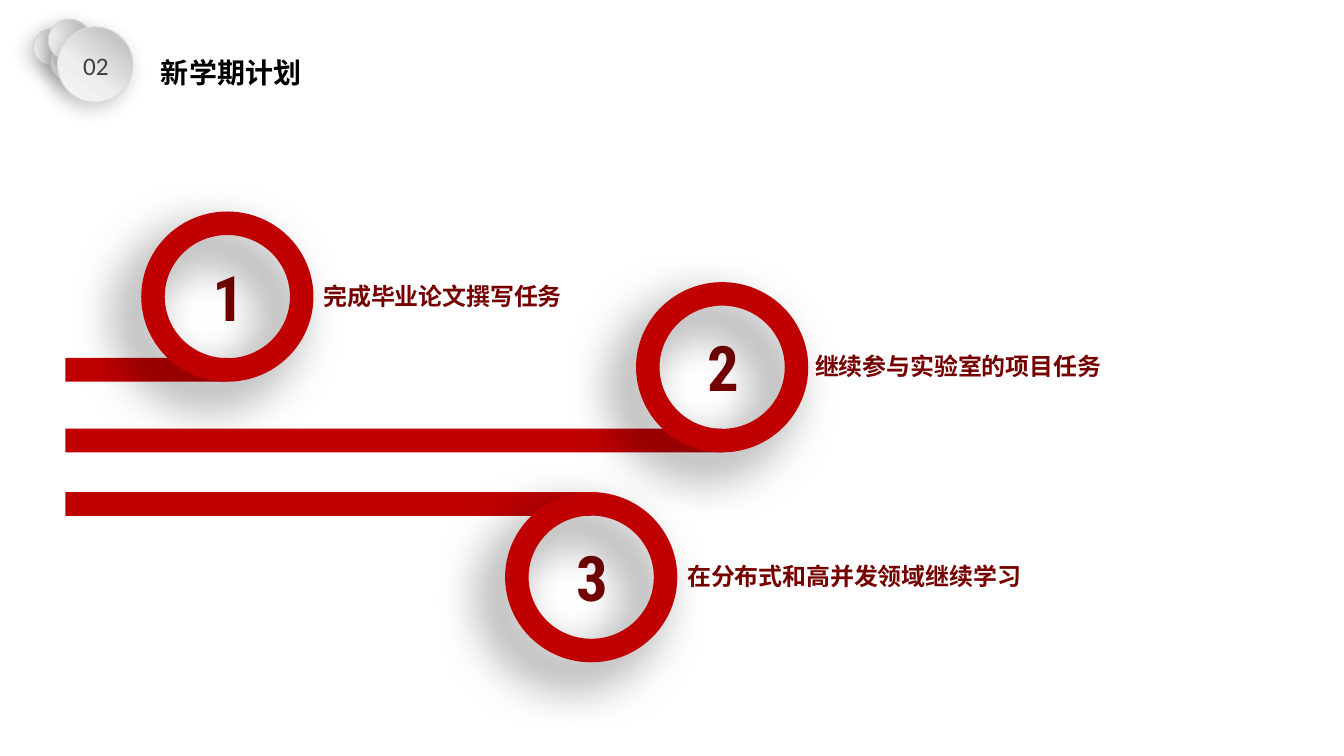
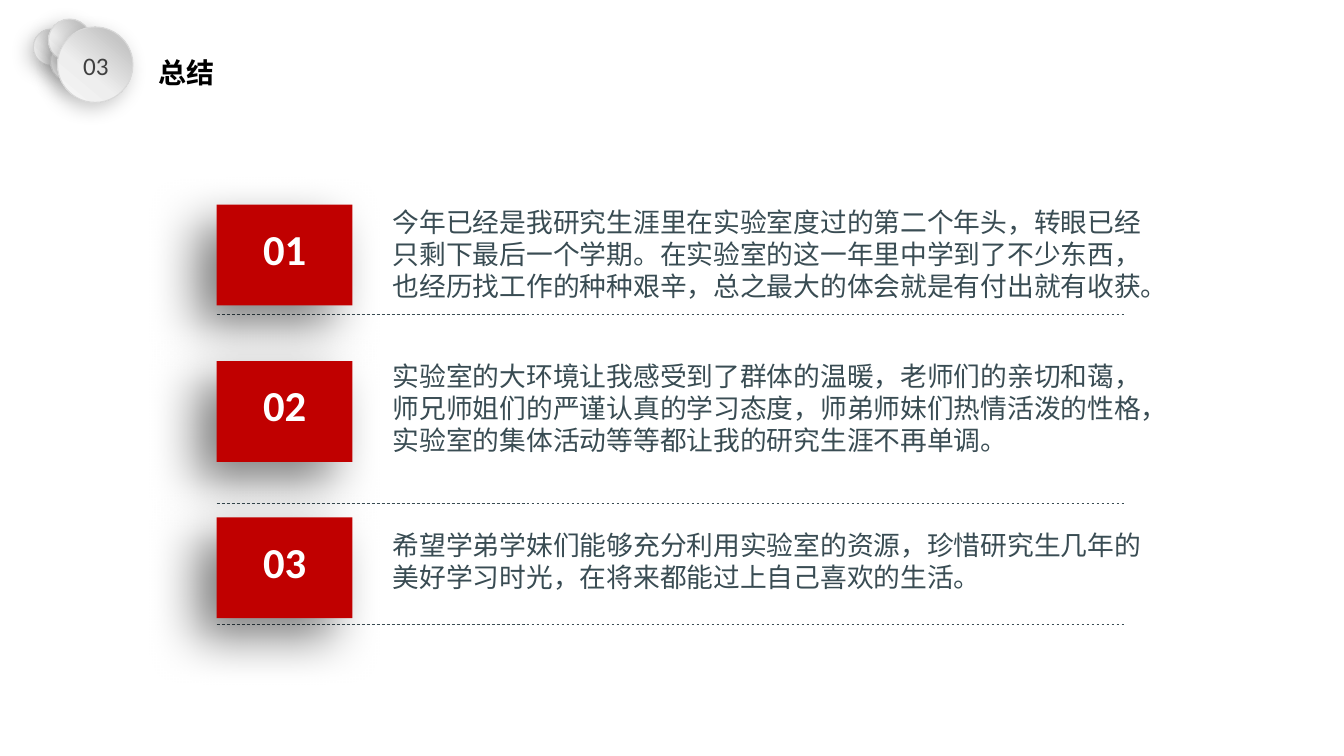
from pptx import Presentation
from pptx.dml.color import RGBColor
from pptx.enum.dml import MSO_LINE
from pptx.enum.shapes import MSO_CONNECTOR, MSO_SHAPE as Preset
from pptx.enum.text import MSO_ANCHOR as Anchor, PP_ALIGN as Align
from pptx.oxml import parse_xml
from pptx.oxml.ns import nsdecls, qn
from pptx.util import Cm, Pt

RED, DARK_RED, SLATE = "C00000", "760000", "394C53"
WHITE, BLACK, GREY, RIM = "FFFFFF", "000000", "404040", "D9D9D9"
BADGE_STOPS = [(0, "BFBFBF"), (18, "C6C6C6"), (61, "EEEEEE"), (100, "F7F7F7")]
CJK, CJK_TITLE = "Noto Sans CJK SC", "Noto Sans CJK JP"
LATIN, DIGITS = "Calibri", "Roboto Condensed"
# opacity %, blur pt, distance pt, angle
DEEP_SHADOW, SOFT_SHADOW = (50, 35, 20, 135), (22, 14, 5, 130)


def colour(value):
    return RGBColor.from_string(value)


def add_shadow(shape, opacity, blur, distance, angle):
    effects = shape._element.spPr.find(qn("a:effectLst"))
    effects.append(parse_xml(
        f'<a:outerShdw {nsdecls("a")} blurRad="{Pt(blur)}" dist="{Pt(distance)}" '
        f'dir="{angle * 60000}" algn="ctr" rotWithShape="0"><a:srgbClr val="000000">'
        f'<a:alpha val="{opacity * 1000}"/></a:srgbClr></a:outerShdw>'))


def add_preset(parent, preset, box, fill=None, shadow=None):
    shape = parent.shapes.add_shape(preset, *map(Cm, box))
    shape.shadow.inherit = False
    shape.line.fill.background()
    if fill:
        shape.fill.solid()
        shape.fill.fore_color.rgb = colour(fill)
    else:
        shape.fill.background()
    if shadow:
        add_shadow(shape, *shadow)
    return shape


def write(shape, text, size, font, ink, bold=False, align=Align.LEFT,
          anchor=Anchor.TOP, wrap=True, leading=None):
    frame = shape.text_frame
    frame.word_wrap = wrap
    frame.vertical_anchor = anchor
    para = frame.paragraphs[0]
    para.alignment = align
    if leading:
        para.line_spacing = Pt(leading)
    span = para.add_run()
    span.text = text
    span.font.size, span.font.bold, span.font.name = Pt(size), bold, font
    span.font.color.rgb = colour(ink)
    latin = span.font._element.find(qn("a:latin"))
    latin.addnext(parse_xml(f'<a:ea {nsdecls("a")} typeface="{font}"/>'))


def add_text(parent, box, text, size, font, ink, **style):
    write(parent.shapes.add_textbox(*map(Cm, box)), text, size, font, ink, **style)


def add_bubble(parent, left, top, size):
    bubble = add_preset(parent, Preset.OVAL, (left, top, size, size), shadow=SOFT_SHADOW)
    properties = bubble._element.spPr
    properties.remove(properties.find(qn("a:noFill")))
    stops = "".join(f'<a:gs pos="{pos * 1000}"><a:srgbClr val="{value}"/></a:gs>'
                    for pos, value in BADGE_STOPS)
    properties.find(qn("a:prstGeom")).addnext(parse_xml(
        f'<a:gradFill {nsdecls("a")} rotWithShape="1"><a:gsLst>{stops}</a:gsLst>'
        f'<a:lin ang="{130 * 60000}" scaled="0"/></a:gradFill>'))
    bubble.line.color.rgb = colour(RIM)
    bubble.line.width = Pt(0.75)


def add_header(page, left, top, number, title):
    # Overlapping bubbles, smallest first
    badge = page.shapes.add_group_shape()
    for dx, dy, size in [(0, 0.25, 0.92), (0.43, 0.53, 1.07),
                         (0.38, 0, 1.07), (0.61, 0.2, 1.9)]:
        add_bubble(badge, left + dx, top + dy, size)
    # Section number and title
    add_text(page, (left + 0.99, top + 0.66, 1.17, 1.02), number, 18, LATIN, GREY,
             align=Align.CENTER, wrap=False)
    add_text(page, (left + 2.51, top + 0.76, 1.2 + 0.75 * len(title), 1.12), title,
             20, CJK_TITLE, BLACK, bold=True, align=Align.CENTER, leading=25)


def add_step(page, left, top, number, label, bar_left, bar_on_top=False, label_shift=0):
    width, height, band = 4.34, 4.29, 0.6
    # Number inside the ring
    disc = add_preset(page, Preset.OVAL, (left + band, top + 0.57, 3.18, 3.12))
    write(disc, number, 44.8, DIGITS, DARK_RED, bold=True,
          align=Align.CENTER, anchor=Anchor.MIDDLE)
    # Bar running into the ring
    bar_top = top if bar_on_top else top + height - band
    add_preset(page, Preset.RECTANGLE,
               (bar_left, bar_top, left + width / 2 - bar_left, band), RED)
    ring = add_preset(page, Preset.DONUT, (left, top, width, height), RED, DEEP_SHADOW)
    ring.adjustments[0] = 0.138
    # Label to the right
    add_text(page, (left + width + label_shift, top + 1.6, 0.56 + 0.61 * len(label), 1.02),
             label, 17.1, CJK, DARK_RED, bold=True, wrap=False, leading=21.4)


def add_point(page, left, tile_top, number, text, text_top, text_height, rule_top):
    # Paragraph and dashed rule
    add_text(page, (left + 4.19, text_top, 19.61, text_height), text, 19.1, CJK, SLATE,
             leading=22.9)
    rule = page.shapes.add_connector(MSO_CONNECTOR.STRAIGHT, Cm(left), Cm(rule_top),
                                     Cm(left + 22.86), Cm(rule_top))
    rule.line.color.rgb = colour(SLATE)
    rule.line.width = Pt(0.5)
    rule.line.dash_style = MSO_LINE.DASH
    rule._element.spPr.append(parse_xml(f'<a:effectLst {nsdecls("a")}/>'))
    # Numbered tile
    tile = page.shapes.add_group_shape()
    add_preset(tile, Preset.RECTANGLE, (left, tile_top, 3.42, 2.54), RED, DEEP_SHADOW)
    add_text(tile, (left + 0.37, tile_top + 0.2, 2.69, 1.8), number, 30.5, LATIN, WHITE,
             bold=True, align=Align.CENTER, anchor=Anchor.MIDDLE)


def build_page(deck, number, title):
    page = deck.slides.add_slide(deck.slide_layouts[6])
    add_header(page, 0.84, 0.48, number, title)
    return page


def build_plan(deck):
    page = build_page(deck, "02", "新学期计划")
    add_step(page, 3.56, 5.33, "1", "完成毕业论文撰写任务", 1.65)
    add_step(page, 16.03, 7.11, "2", "继续参与实验室的项目任务", 1.65, label_shift=-0.08)
    add_step(page, 12.73, 12.4, "3", "在分布式和高并发领域继续学习", 1.65, bar_on_top=True)


def build_summary(deck):
    page = build_page(deck, "03", "总结")
    points = [
        ("今年已经是我研究生涯里在实验室度过的第二个年头，转眼已经只剩下最后一个学期。"
         "在实验室的这一年里中学到了不少东西，也经历找工作的种种艰辛，"
         "总之最大的体会就是有付出就有收获。", 5.05, 2.69, 7.91),
        ("实验室的大环境让我感受到了群体的温暖，老师们的亲切和蔼，"
         "师兄师姐们的严谨认真的学习态度，师弟师妹们热情活泼的性格，"
         "实验室的集体活动等等都让我的研究生涯不再单调。", 8.95, 2.69, 12.69),
        ("希望学弟学妹们能够充分利用实验室的资源，珍惜研究生几年的美好学习时光，"
         "在将来都能过上自己喜欢的生活。", 13.19, 1.88, 15.74),
    ]
    for index, point in enumerate(points):
        add_point(page, 5.46, 5.16 + 3.94 * index, f"{index + 1:02}", *point)


def main():
    deck = Presentation()
    deck.slide_width, deck.slide_height = Cm(33.87), Cm(19.05)
    build_plan(deck)
    build_summary(deck)
    deck.save("out.pptx")


if __name__ == "__main__":
    main()
